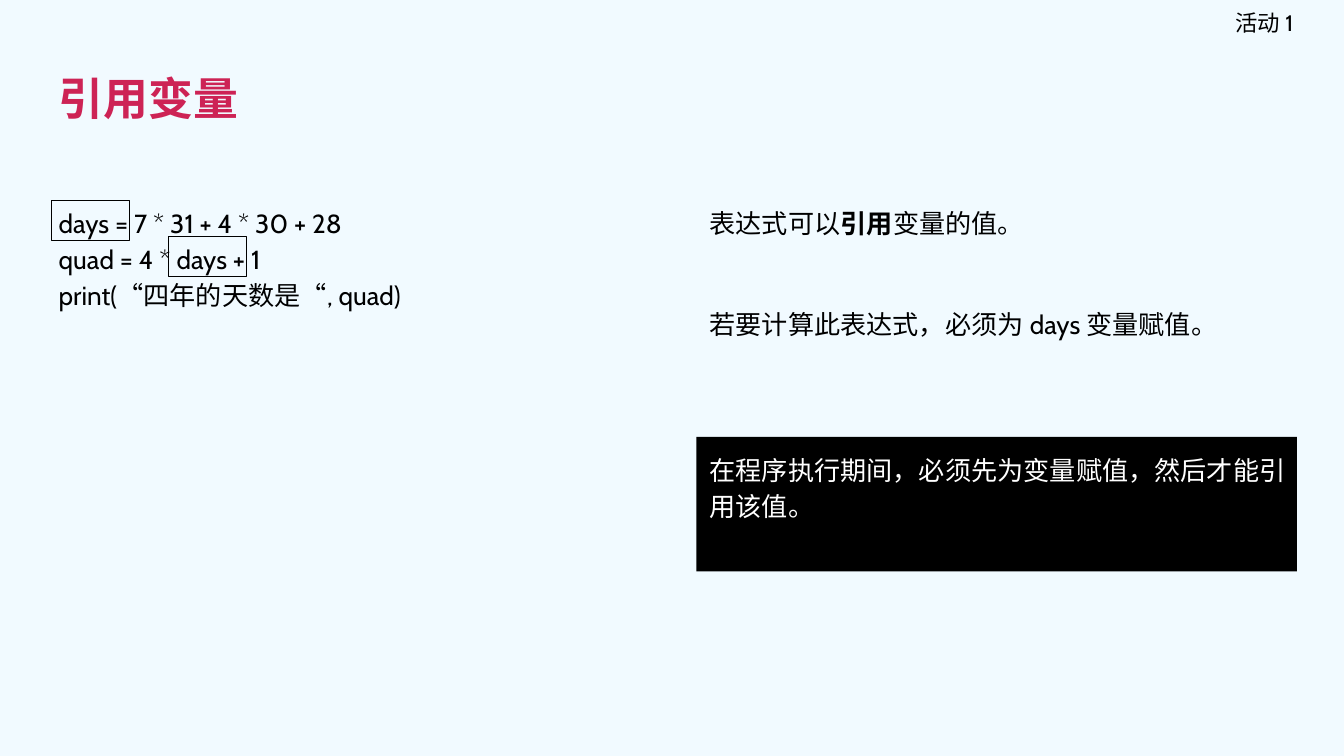
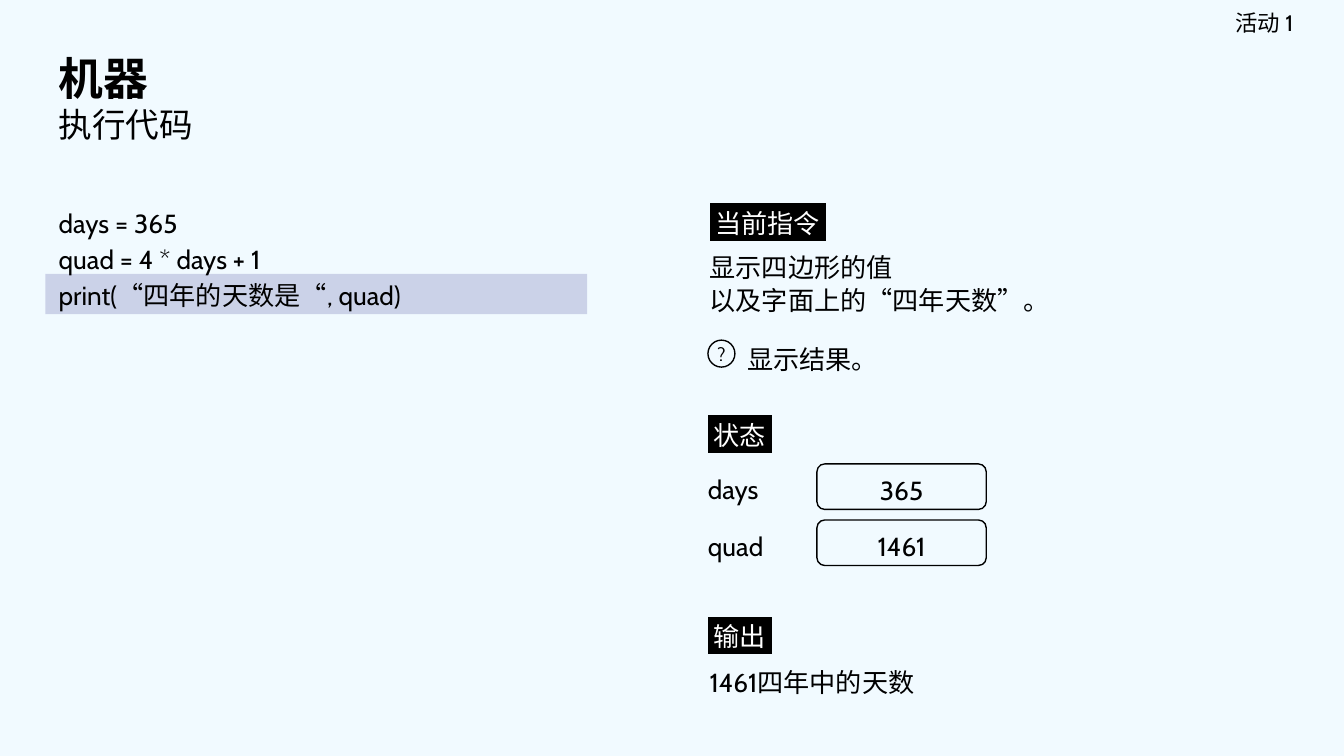
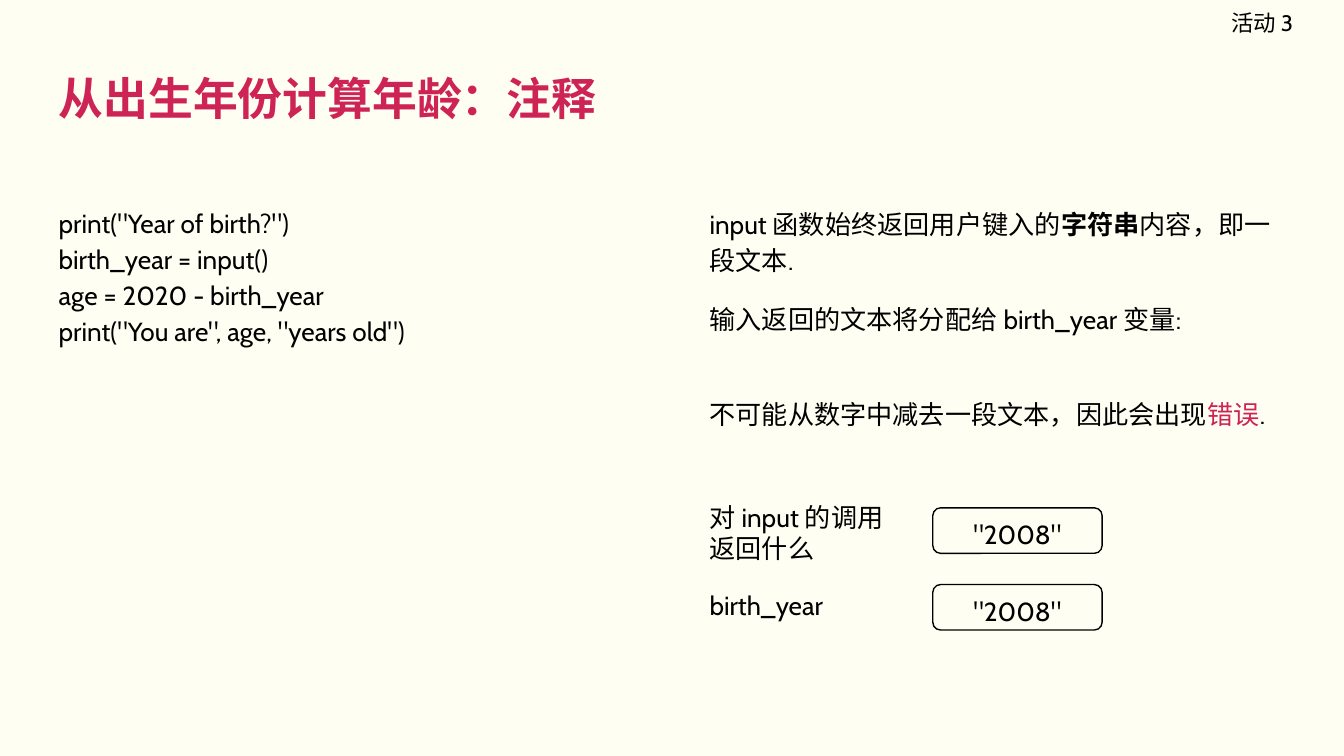
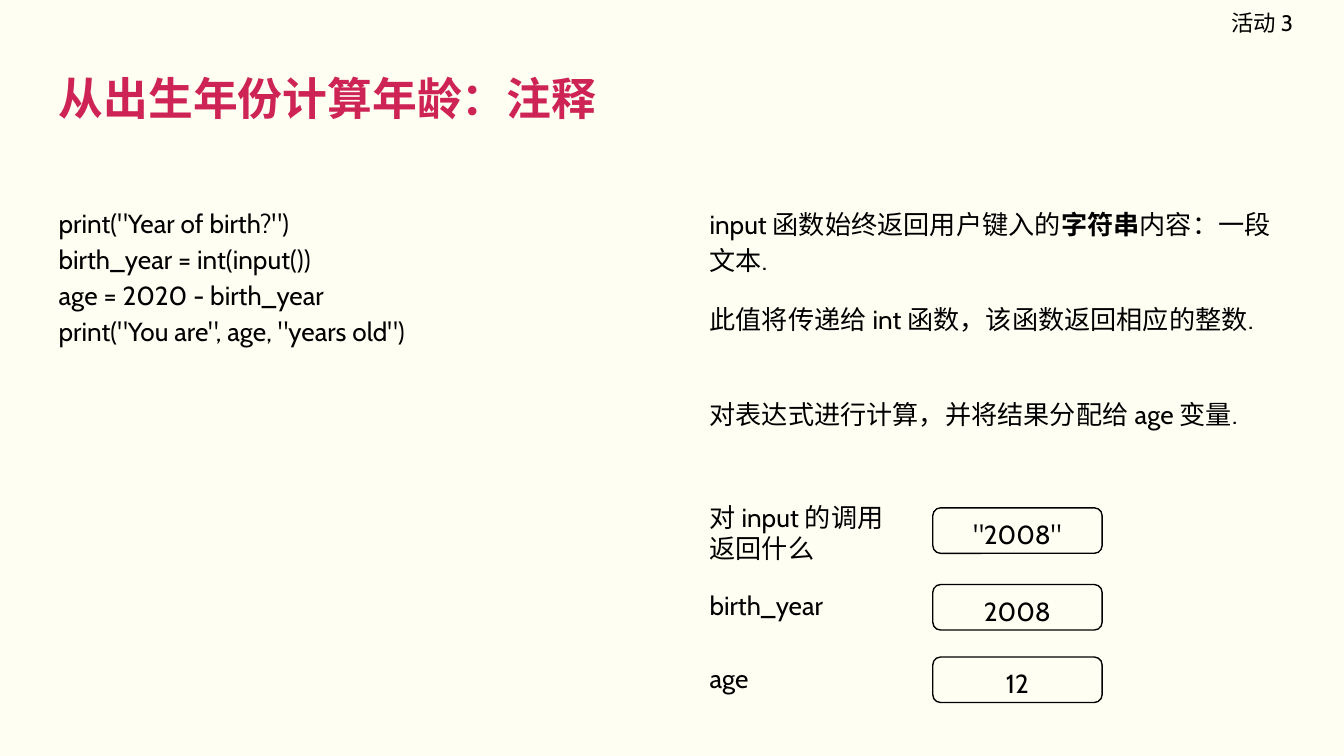
from lxml import etree
from pptx import Presentation
from pptx.dml.color import RGBColor
from pptx.enum.shapes import MSO_SHAPE
from pptx.enum.text import MSO_ANCHOR, PP_ALIGN
from pptx.oxml.ns import qn
from pptx.util import Cm, Pt

RECTANGLE = MSO_SHAPE.RECTANGLE
ROUNDED = MSO_SHAPE.ROUNDED_RECTANGLE
OVAL = MSO_SHAPE.OVAL
TOP, MIDDLE = MSO_ANCHOR.TOP, MSO_ANCHOR.MIDDLE
ALIGN_LEFT, ALIGN_CENTER, ALIGN_RIGHT = PP_ALIGN.LEFT, PP_ALIGN.CENTER, PP_ALIGN.RIGHT

FONT = "Cabin"
BLACK, WHITE, PINK, VIOLET = "000000", "FFFFFF", "CD2355", "5B5BA5"
BLUE_PAGE, CREAM_PAGE = "F1FAFF", "FFFEF2"

CODE_LEFT, NOTE_LEFT, STATE_LEFT = 0.86, 13.16, 13.13
BODY_TOP = 3.58
NOTE_WIDTH = 11.35
MARGINS = (0.25, 0.25, 0.25, 0.25)
NOTE_MARGINS = (0.25, 0.25, 0.15, 0.25)
NOTE_SPACING, CODE_SPACING = 1.14, 1.15


def rgb(color):
    """Turn a hex string into a colour."""
    return RGBColor.from_string(color)


def style_font(font, size=None, color=None, bold=None):
    """Set the given font properties."""
    if size:
        font.size = Pt(size)
    if color:
        font.color.rgb = rgb(color)
    if bold is not None:
        font.bold = bold


def write(box, lines, size=14, color=BLACK, bold=None, align=ALIGN_LEFT,
          spacing=None, margins=MARGINS, anchor=TOP):
    """Write lines, each a string or a list of (text, font properties) spans."""
    frame = box.text_frame
    frame.word_wrap = True
    frame.vertical_anchor = anchor
    (frame.margin_left, frame.margin_top,
     frame.margin_right, frame.margin_bottom) = map(Cm, margins)
    for index, line in enumerate(lines):
        para = frame.add_paragraph() if index else frame.paragraphs[0]
        para.alignment = align
        if spacing:
            para.line_spacing = spacing
        para.font.name = FONT
        style_font(para.font, size, color, bold)
        for text, properties in [(line, {})] if isinstance(line, str) else line:
            span = para.add_run()
            span.text = text
            style_font(span.font, **properties)


def add_text(parent, left, top, width, height, lines, **style):
    """Add a text box to a page or group."""
    box = parent.shapes.add_textbox(Cm(left), Cm(top), Cm(width), Cm(height))
    write(box, lines, **style)
    return box


def add_outline(parent, kind, left, top, width, height, fill=None, line=None):
    """Add a flat preset shape with an optional fill and thin line."""
    shape = parent.shapes.add_shape(kind, Cm(left), Cm(top), Cm(width), Cm(height))
    shape.shadow.inherit = False
    if fill:
        shape.fill.solid()
        shape.fill.fore_color.rgb = rgb(fill)
    else:
        shape.fill.background()
    if line:
        shape.line.color.rgb = rgb(line)
        shape.line.width = Pt(0.75)
    else:
        shape.line.fill.background()
    return shape


def add_page(deck, background, activity, title, title_color=PINK):
    """Add a page with its background, activity number and title lines."""
    page = deck.slides.add_slide(deck.slide_layouts[6])
    page.background.fill.solid()
    page.background.fill.fore_color.rgb = rgb(background)
    add_text(page, 19, 0, 5.44, 0.86, [f"活动 {activity}"], size=12,
             align=ALIGN_RIGHT, margins=(0.25, 0.25, 0, 0.25), anchor=MIDDLE)
    add_text(page, CODE_LEFT, 0.86, 23.67, 1.96, title, size=24,
             color=title_color, bold=True, anchor=MIDDLE)
    return page


def add_code(page, lines):
    """Add the code listing in the left column."""
    add_text(page, CODE_LEFT, BODY_TOP, 12.29, 0.84 * len(lines), lines,
             spacing=CODE_SPACING)


def add_note(page, top, line, left=NOTE_LEFT, height=1.78):
    """Add an explanation in the right column."""
    add_text(page, left, top, NOTE_LEFT + NOTE_WIDTH - left, height, [line],
             spacing=NOTE_SPACING, margins=NOTE_MARGINS)


def add_badge(page, top, text, left=STATE_LEFT):
    """Add a section heading in white on a black highlight."""
    box = add_text(page, left, top, 9.91, 1.02, [f" {text} "], color=WHITE,
                   spacing=NOTE_SPACING, margins=NOTE_MARGINS)
    properties = box.text_frame.paragraphs[0].runs[0].font
    style_font(properties, color=WHITE)
    fill = properties.fill._xPr.find(qn("a:solidFill"))
    highlight = etree.Element(qn("a:highlight"))
    etree.SubElement(highlight, qn("a:srgbClr"), val=BLACK)
    fill.addnext(highlight)


def add_code_band(page, top):
    """Add a translucent band behind the current line of code."""
    band = add_outline(page, RECTANGLE, CODE_LEFT, top, 10.24, 0.76, fill=VIOLET)
    color = band.fill._xPr.find(qn("a:solidFill"))[0]
    etree.SubElement(color, qn("a:alpha"), val="25000")


def add_variable(page, name, value, top, name_left=NOTE_LEFT, value_left=17.63,
                 lift=0.15, spacing=None):
    """Add a grouped variable name and the rounded box holding its value."""
    group = page.shapes.add_group_shape()
    add_text(group, name_left, top - lift, 4.06, 0.86 + 2 * lift, [name], spacing=spacing)
    box = add_outline(group, ROUNDED, value_left, top, 3.2, 0.86, line=BLACK)
    box.adjustments[0] = 0.17
    write(box, [value], align=ALIGN_CENTER, spacing=CODE_SPACING,
          margins=(0.25, 0.05, 0.25, 0), anchor=MIDDLE)


def build_reference_page(deck):
    """Explain how an expression refers to a variable."""
    page = add_page(deck, BLUE_PAGE, 1, ["引用变量"])
    add_code(page, ["days = 7 * 31 + 4 * 30 + 28", "quad = 4 * days + 1",
                    "print(“四年的天数是“, quad)"])
    add_note(page, BODY_TOP, [("表达式可以", {}), ("引用", {"bold": True}),
                              ("变量的值。", {})])
    rule = add_outline(page, RECTANGLE, NOTE_LEFT, 8.26, NOTE_WIDTH, 2.54, fill=BLACK)
    write(rule, ["在程序执行期间，必须先为变量赋值，然后才能引用该值。"],
          color=WHITE, spacing=NOTE_SPACING, margins=NOTE_MARGINS)
    add_note(page, 5.49, "若要计算此表达式，必须为 days 变量赋值。")
    for left, top in [(3.19, 4.47), (0.98, 3.79)]:
        add_outline(page, RECTANGLE, left, top, 1.47, 0.76, line=BLACK)


def build_machine_page(deck):
    """Show the instruction, state and output of a running program."""
    page = add_page(deck, BLUE_PAGE, 1,
                    ["机器", [("执行代码", {"size": 18, "bold": False})]], BLACK)
    add_code_band(page, 5.18)
    add_code(page, ["days = 365", "quad = 4 * days + 1", "print(“四年的天数是“, quad)"])
    add_badge(page, BODY_TOP, "当前指令", NOTE_LEFT)
    add_note(page, 4.42, "显示四边形的值")
    add_note(page, 5.05, "以及字面上的“四年天数”。", height=1.02)
    add_note(page, 6.15, "显示结果。", left=13.87, height=1.02)
    mark = add_outline(page, OVAL, 13.38, 6.43, 0.51, 0.51, line=BLACK)
    write(mark, ["?"], size=10, align=ALIGN_CENTER, margins=(0, 0, 0, 0), anchor=MIDDLE)
    add_badge(page, 7.59, "状态")
    for row, (name, value) in enumerate([("days", "365"), ("quad", "1461")]):
        add_variable(page, name, value, 8.77 + 1.06 * row, STATE_LEFT, 15.44,
                     spacing=CODE_SPACING)
    add_badge(page, 11.4, "输出")
    add_note(page, 12.27, "1461四年中的天数", height=1.02)


def build_age_page(deck, input_call, string_ending, notes, variables):
    """Annotate one version of the age program."""
    page = add_page(deck, CREAM_PAGE, 3, ["从出生年份计算年龄：注释"])
    add_code(page, ['print("Year of birth?")', f"birth_year = {input_call}",
                    "age = 2020 - birth_year", 'print("You are", age, "years old")'])
    add_note(page, 3.61, [("input 函数始终返回用户键入的", {}),
                          ("字符串", {"bold": True}), (string_ending, {})])
    for top, note in zip((5.41, 7.19), notes):
        add_note(page, top, note)
    add_variable(page, "对 input 的调用返回什么", '"2008"', 9.6, lift=0.38)
    for top, (name, value) in zip((11.05, 12.42), variables):
        add_variable(page, name, value, top)


def main():
    """Build and save the deck."""
    deck = Presentation()
    deck.slide_width, deck.slide_height = Cm(25.4), Cm(14.29)
    build_reference_page(deck)
    build_machine_page(deck)
    build_age_page(
        deck, "input()", "内容，即一段文本.",
        ["输入返回的文本将分配给 birth_year 变量:",
         [("不可能从数字中减去一段文本，因此会出现", {}),
          ("错误", {"color": PINK}), (".", {})]],
        [("birth_year", '"2008"')])
    build_age_page(
        deck, "int(input())", "内容：一段文本.",
        ["此值将传递给 int 函数，该函数返回相应的整数.",
         "对表达式进行计算，并将结果分配给 age 变量."],
        [("birth_year", "2008"), ("age", "12")])
    deck.save("out.pptx")


if __name__ == "__main__":
    main()
